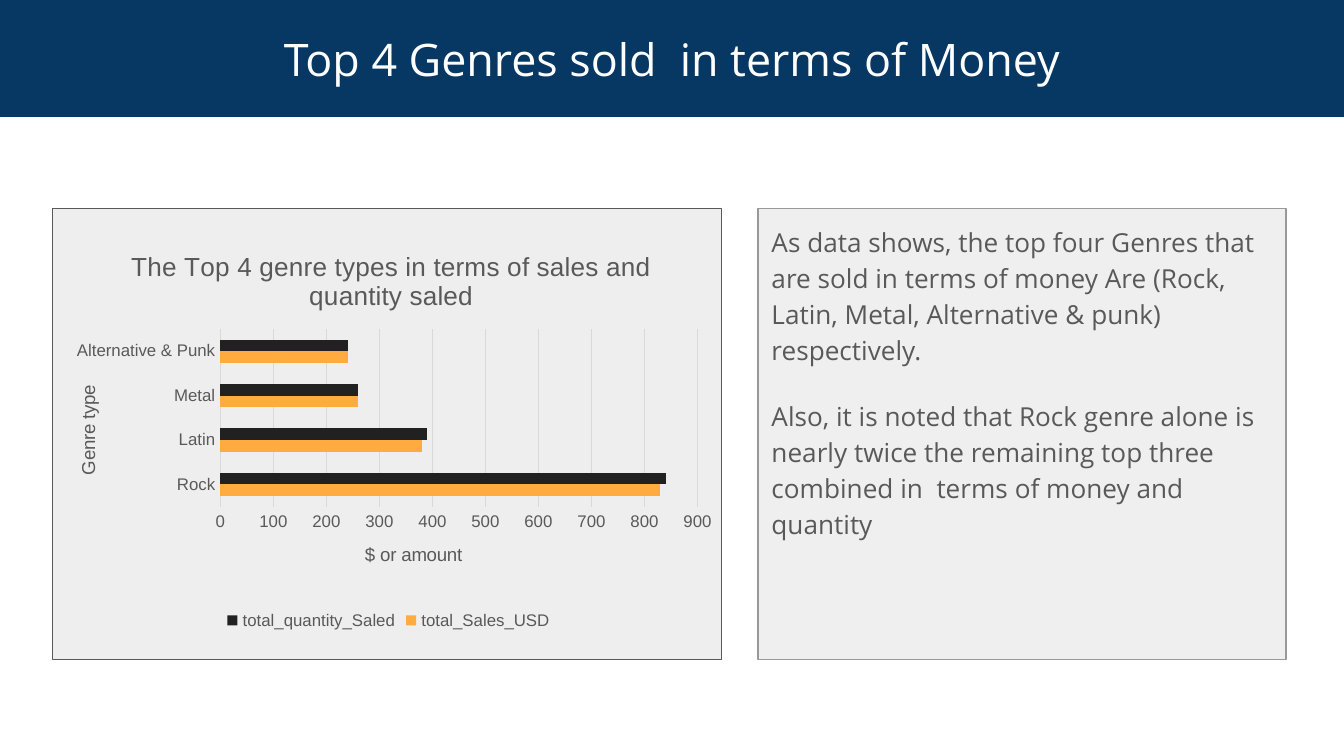
from lxml.etree import SubElement
from pptx import Presentation
from pptx.chart.data import CategoryChartData
from pptx.dml.color import RGBColor
from pptx.enum.chart import XL_CHART_TYPE, XL_LEGEND_POSITION, XL_TICK_MARK
from pptx.enum.shapes import MSO_SHAPE
from pptx.enum.text import MSO_ANCHOR, MSO_AUTO_SIZE, PP_ALIGN
from pptx.oxml import parse_xml
from pptx.oxml.ns import nsdecls, qn
from pptx.util import Inches, Pt

NAVY = RGBColor(0x07, 0x37, 0x63)
WHITE = RGBColor(0xFF, 0xFF, 0xFF)
TEXT_GRAY = RGBColor(0x59, 0x59, 0x59)
BORDER_GRAY = RGBColor(0x99, 0x99, 0x99)
GRID_GRAY = RGBColor(0xD9, 0xD9, 0xD9)
PANEL_GRAY = RGBColor(0xEE, 0xEE, 0xEE)
NOTE_GRAY = RGBColor(0xEF, 0xEF, 0xEF)
ORANGE = RGBColor(0xFF, 0xAB, 0x40)
BLACK = RGBColor(0x21, 0x21, 0x21)

PANEL_TOP, PANEL_HEIGHT = 1.55, 3.36
GENRES = ["Rock", "Latin", "Metal", "Alternative & Punk"]
SERIES = [
    ("total_Sales_USD", [830, 380, 260, 240], ORANGE),
    ("total_quantity_Saled", [840, 390, 260, 240], BLACK),
]
FINDINGS = [
    "As data shows, the top four Genres that are sold in terms of money Are "
    "(Rock, Latin, Metal, Alternative & punk) respectively.",
    "Also, it is noted that Rock genre alone is nearly twice the remaining "
    "top three combined in  terms of money and quantity",
]


class GenreSlide:
    text_font = "Open Sans"
    chart_font = "Arial"

    def __init__(self, deck):
        self.slide = deck.slides.add_slide(deck.slide_layouts[1])

    def style(self, font, name, size, color):
        font.name, font.size, font.bold = name, Pt(size), False
        font.color.rgb = color

    def paint(self, shape, fill, border=None):
        shape.fill.solid()
        shape.fill.fore_color.rgb = fill
        if border is None:
            shape.line.fill.background()
        else:
            shape.line.color.rgb = border
            shape.line.width = Pt(0.75)

    def place(self, shape, left, top, width, height):
        shape.left, shape.top = Inches(left), Inches(top)
        shape.width, shape.height = Inches(width), Inches(height)

    def frame(self, shape, anchor):
        frame = shape.text_frame
        frame.word_wrap = True
        frame.auto_size = MSO_AUTO_SIZE.NONE
        frame.vertical_anchor = anchor
        frame.margin_left = frame.margin_right = Inches(0.1)
        frame.margin_top = frame.margin_bottom = Inches(0.1)
        return frame

    def title(self, text, box):
        banner = self.slide.shapes.title
        self.place(banner, *box)
        self.paint(banner, NAVY)
        frame = self.frame(banner, MSO_ANCHOR.MIDDLE)
        frame.text = text
        heading = frame.paragraphs[0]
        heading.alignment = PP_ALIGN.CENTER
        self.style(heading.font, self.text_font, 24, WHITE)

    def body(self, texts, box):
        notes = self.slide.placeholders[1]
        self.place(notes, *box)
        self.paint(notes, NOTE_GRAY, BORDER_GRAY)
        frame = self.frame(notes, MSO_ANCHOR.TOP)
        frame.text = "\n".join(texts)
        for finding in frame.paragraphs:
            finding.line_spacing = 1.15
            finding.space_before, finding.space_after = Pt(0), Pt(16)
            self.style(finding.font, self.text_font, 14, TEXT_GRAY)
            properties = finding._p.get_or_add_pPr()
            properties.set("marL", "0")
            properties.set("indent", "0")
            bullet = SubElement(properties, qn("a:buNone"))
            properties.remove(bullet)
            properties.insert_element_before(bullet, "a:tabLst", "a:defRPr", "a:extLst")

    def panel(self, box):
        panel = self.slide.shapes.add_shape(MSO_SHAPE.RECTANGLE, *map(Inches, box))
        panel.shadow.inherit = False
        self.paint(panel, PANEL_GRAY, TEXT_GRAY)

    def caption(self, holder, text, size):
        holder.text_frame.text = text
        self.style(holder.text_frame.paragraphs[0].font, self.chart_font, size, TEXT_GRAY)

    def arrange(self, part, **fractions):
        for old in part.findall(qn("c:layout")):
            part.remove(old)
        modes = '<c:xMode val="edge"/><c:yMode val="edge"/>'
        target = '<c:layoutTarget val="inner"/>' if "w" in fractions else ""
        values = "".join(f'<c:{key} val="{value}"/>' for key, value in fractions.items())
        layout = parse_xml(
            f'<c:layout {nsdecls("c")}><c:manualLayout>{target}{modes}{values}'
            "</c:manualLayout></c:layout>"
        )
        part.insert(0 if part.find(qn("c:tx")) is None else 1, layout)

    def axis(self, axis, title):
        axis.major_tick_mark = axis.minor_tick_mark = XL_TICK_MARK.NONE
        self.style(axis.tick_labels.font, self.chart_font, 9, TEXT_GRAY)
        self.caption(axis.axis_title, title, 10)

    def chart(self, title, category_title, value_title, box):
        data = CategoryChartData()
        data.categories = GENRES
        for name, values, _ in SERIES:
            data.add_series(name, values)
        chart = self.slide.shapes.add_chart(
            XL_CHART_TYPE.BAR_CLUSTERED, *map(Inches, box), data
        ).chart
        self.style(chart.font, self.chart_font, 10, TEXT_GRAY)
        self.caption(chart.chart_title, title, 14)

        plot = chart.plots[0]
        plot.gap_width, plot.overlap = 182, 0
        plot.vary_by_categories = False
        for series, (_, _, color) in zip(plot.series, SERIES):
            series.format.fill.solid()
            series.format.fill.fore_color.rgb = color

        genres, amounts = chart.category_axis, chart.value_axis
        self.axis(genres, category_title)
        self.axis(amounts, value_title)
        amounts.minimum_scale, amounts.maximum_scale = 0, 900
        amounts.major_unit = 100
        amounts.format.line.fill.background()
        amounts.has_major_gridlines = True
        for line in (genres.format.line, amounts.major_gridlines.format.line):
            line.color.rgb = GRID_GRAY
            line.width = Pt(0.75)

        chart.has_legend = True
        chart.legend.position = XL_LEGEND_POSITION.BOTTOM
        chart.legend.include_in_layout = False
        self.style(chart.legend.font, self.chart_font, 9, TEXT_GRAY)

        root = chart._chartSpace
        self.arrange(root.xpath("c:chart/c:plotArea")[0], x=0.25, y=0.24, w=0.71, h=0.44)
        self.arrange(root.xpath("c:chart/c:title")[0], x=0.11, y=0.03)
        self.arrange(root.xpath(".//c:catAx/c:title")[0], x=0.03, y=0.37)
        self.arrange(root.xpath(".//c:valAx/c:title")[0], x=0.46, y=0.76)


def main():
    deck = Presentation()
    deck.slide_width = Inches(10)
    deck.slide_height = deck.slide_width * 9 // 16
    page = GenreSlide(deck)
    page.title("Top 4 Genres sold  in terms of Money", (0, 0, 10, 0.87))
    page.body(FINDINGS, (5.64, PANEL_TOP, 3.93, PANEL_HEIGHT))
    page.panel((0.39, PANEL_TOP, 4.98, PANEL_HEIGHT))
    page.chart(
        "The Top 4 genre types in terms of sales and quantity saled",
        "Genre type",
        "$ or amount",
        (0.39, 1.73, 5, 3),
    )
    deck.save("out.pptx")


if __name__ == "__main__":
    main()
